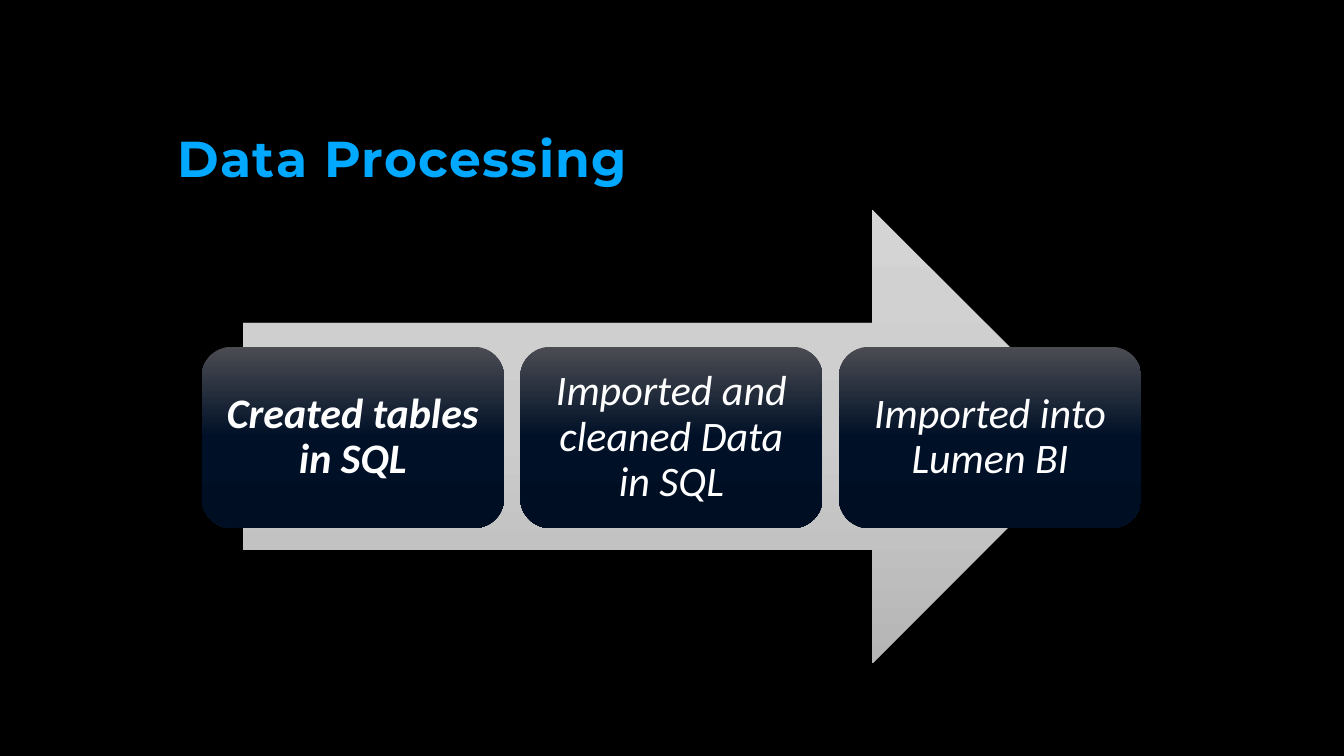
import copy

import pptx
import pptx.dml.color
import pptx.enum.shapes
import pptx.enum.text
import pptx.oxml.ns
import pptx.util

Inches = pptx.util.Inches
SHAPES = pptx.enum.shapes.MSO_SHAPE
ANCHORS = pptx.enum.text.MSO_ANCHOR
ALIGNMENTS = pptx.enum.text.PP_ALIGN

COLOURS = {
    "background": "000000",
    "title": "01A8FF",
    "step text": "FFFFFF",
    "arrow top": "D4D4D4",
    "arrow middle": "CCCCCD",
    "arrow bottom": "B5B5B6",
    "step top": "4B4C52",
    "step middle": "001027",
    "step bottom": "000E23",
}

STEPS = ["Created tables in SQL", "Imported and cleaned Data in SQL", "Imported into Lumen BI"]
STEP_LEFT, STEP_TOP = 2, 3.44
STEP_WIDTH, STEP_HEIGHT = 3, 1.8
STEP_PITCH = 3.16


def colour(name):
    return pptx.dml.color.RGBColor.from_string(COLOURS[name])


def write_text(shape, text, font, size, fill, bold=False, italic=False, align=ALIGNMENTS.LEFT,
               anchor=ANCHORS.MIDDLE, margin=None, tracking=None):
    """Put one formatted paragraph into a shape; tracking is in points."""
    frame = shape.text_frame
    frame.word_wrap = True
    frame.auto_size = pptx.enum.text.MSO_AUTO_SIZE.NONE
    frame.vertical_anchor = anchor
    if margin is not None:
        frame.margin_left = frame.margin_right = Inches(margin)
        frame.margin_top = frame.margin_bottom = Inches(margin)
    para = frame.paragraphs[0]
    para.alignment = align
    para.line_spacing = 0.9
    span = para.add_run()
    span.text = text
    span.font.name = font
    span.font.size = pptx.util.Pt(size)
    span.font.bold = bold
    span.font.italic = italic
    span.font.color.rgb = colour(fill)
    if tracking is not None:
        span.font._element.set("spc", str(tracking * 100))


def fill_downwards(shape, part):
    """Three-stop vertical gradient from the part's top to its bottom colour."""
    fill = shape.fill
    fill.gradient()
    fill.gradient_angle = 270
    stop_list = shape._element.spPr.find(".//" + pptx.oxml.ns.qn("a:gsLst"))
    stop_list.insert(1, copy.deepcopy(stop_list[0]))
    levels = [("top", 0), ("middle", 0.5), ("bottom", 1)]
    for stop, (level, position) in zip(fill.gradient_stops, levels):
        stop.color.rgb = colour(f"{part} {level}")
        stop.position = position


def add_block(page, kind, left, top, width, height, part):
    block = page.shapes.add_shape(kind, Inches(left), Inches(top), Inches(width), Inches(height))
    block.shadow.inherit = False
    block.line.fill.background()
    fill_downwards(block, part)
    return block


def add_title(page, text):
    title = page.shapes.title
    title.left, title.top = Inches(1.66), Inches(0.42)
    title.width, title.height = Inches(10), Inches(1.5)
    write_text(title, text, font="Montserrat", size=36, fill="title", bold=True,
               anchor=ANCHORS.BOTTOM, tracking=1)


def add_step(page, index, text):
    box = add_block(page, SHAPES.ROUNDED_RECTANGLE, STEP_LEFT + index * STEP_PITCH, STEP_TOP,
                    STEP_WIDTH, STEP_HEIGHT, "step")
    write_text(box, text, font="Calibri", size=30, fill="step text", bold=index == 0,
               italic=True, align=ALIGNMENTS.CENTER, margin=0.12)


def main():
    deck = pptx.Presentation()
    deck.slide_width, deck.slide_height = Inches(13.33), Inches(7.5)
    page = deck.slides.add_slide(deck.slide_layouts.get_by_name("Title Only"))
    page.background.fill.solid()
    page.background.fill.fore_color.rgb = colour("background")

    add_title(page, "Data Processing")

    # Process arrow behind the steps
    add_block(page, SHAPES.RIGHT_ARROW, 2.41, 2.08, 8.49, 4.5, "arrow")

    # Steps, left to right
    for index, text in enumerate(STEPS):
        add_step(page, index, text)

    deck.save("out.pptx")


if __name__ == "__main__":
    main()
